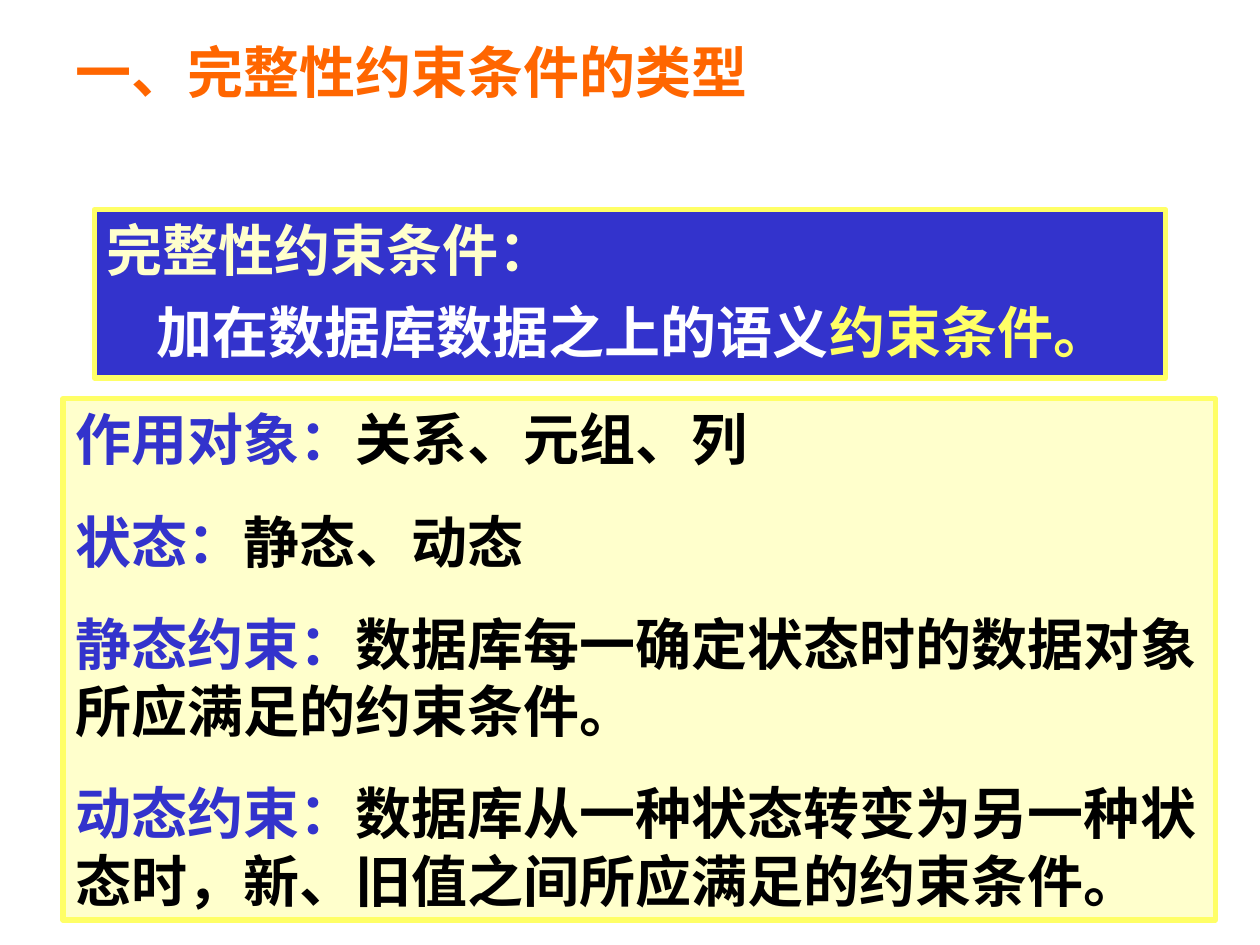
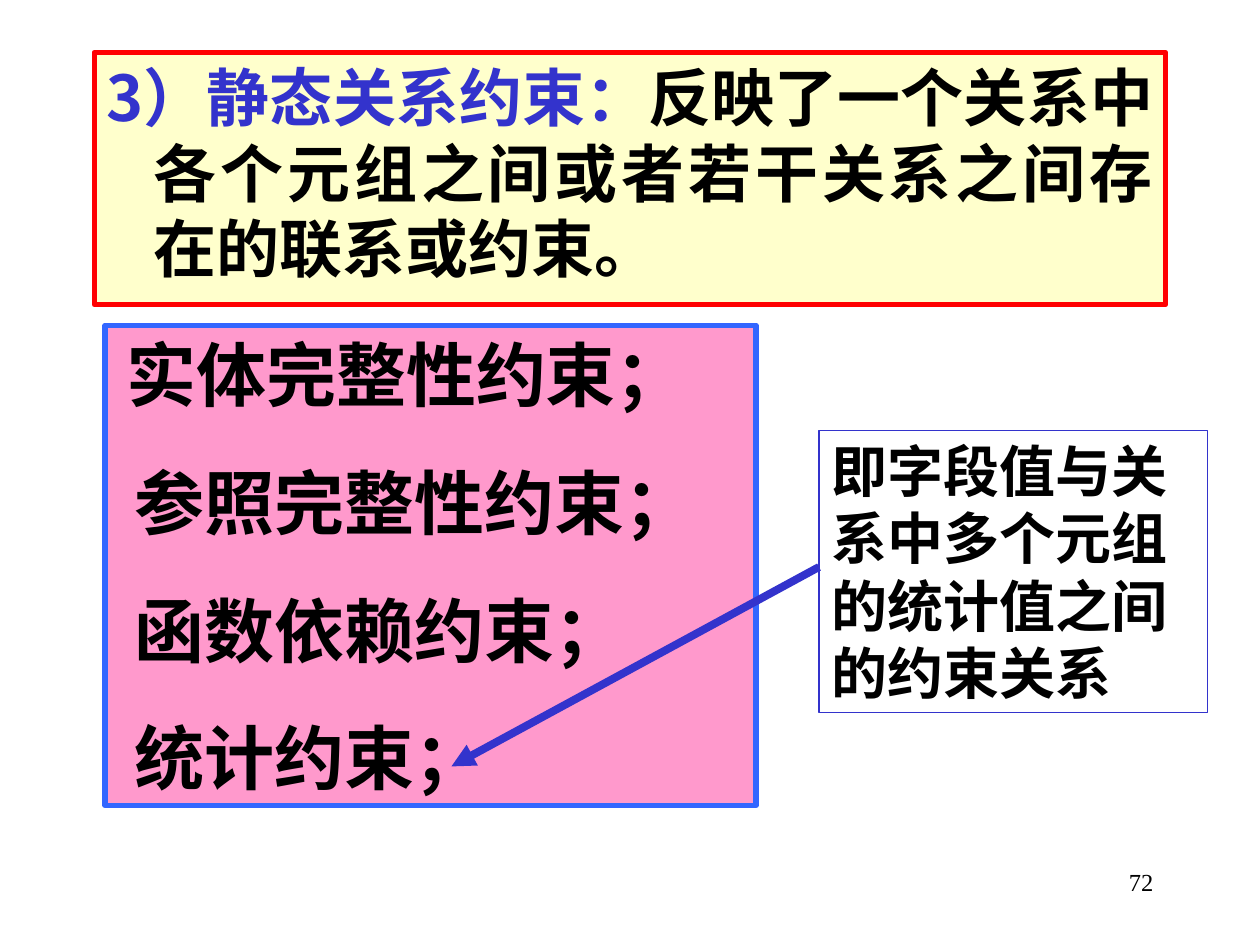
from dataclasses import dataclass
from typing import Optional

from lxml.etree import SubElement
from pptx import Presentation
from pptx.dml.color import RGBColor
from pptx.enum.shapes import MSO_CONNECTOR as CONN, MSO_SHAPE as SHAPE
from pptx.enum.text import MSO_ANCHOR as ANCHOR, PP_ALIGN as ALIGN
from pptx.oxml.ns import qn
from pptx.slide import Slide
from pptx.util import Cm, Pt

BLACK = RGBColor(0x00, 0x00, 0x00)
WHITE = RGBColor(0xFF, 0xFF, 0xFF)
BLUE = RGBColor(0x33, 0x33, 0xCC)
SKY = RGBColor(0x33, 0x66, 0xFF)
CREAM = RGBColor(0xFF, 0xFF, 0xCC)
YELLOW = RGBColor(0xFF, 0xFF, 0x66)
ORANGE = RGBColor(0xFF, 0x66, 0x00)
RED = RGBColor(0xFF, 0x00, 0x00)
PINK = RGBColor(0xFF, 0x99, 0xCC)
SERIF = "Times New Roman"
SANS = "Noto Sans CJK SC"


@dataclass(frozen=True)
class Run:
    """A stretch of text in one colour."""
    text: str
    color: RGBColor = BLACK


@dataclass(frozen=True)
class Para:
    """Runs with a left margin and first-line indent in centimetres."""
    runs: tuple[Run, ...]
    margin: float = 0
    indent: float = 0


@dataclass(frozen=True)
class Box:
    """A text block placed in centimetres."""
    left: float
    top: float
    width: float
    height: float
    paras: tuple[Para, ...]
    size: float = 32
    font: str = SERIF
    bold: bool = True
    gap: float = 0
    align: ALIGN = ALIGN.LEFT
    wrap: bool = True
    fill: Optional[RGBColor] = None
    line: Optional[RGBColor] = None
    weight: float = 3


def term(label: str, text: str) -> tuple[Run, ...]:
    """Return a blue label followed by its black explanation."""
    return Run(label, BLUE), Run(text)


def add_box(s: Slide, box: Box) -> None:
    """Draw a framed rectangle, or a plain text box when it has no frame."""
    place = Cm(box.left), Cm(box.top), Cm(box.width), Cm(box.height)
    if box.line is None:
        sp = s.shapes.add_textbox(*place)
    else:
        sp = s.shapes.add_shape(SHAPE.RECTANGLE, *place)
        sp.shadow.inherit = False
        sp.line.color.rgb = box.line
        sp.line.width = Pt(box.weight)
        if box.fill is None:
            sp.fill.background()
        else:
            sp.fill.solid()
            sp.fill.fore_color.rgb = box.fill
    tf = sp.text_frame
    tf.word_wrap = box.wrap
    tf.vertical_anchor = ANCHOR.TOP
    for i, para in enumerate(box.paras):
        p = tf.add_paragraph() if i else tf.paragraphs[0]
        add_para(p, para, box, box.gap if i else 0)


def add_para(p, para: Para, box: Box, gap: float) -> None:
    """Fill one paragraph with its runs and format."""
    p.alignment = box.align
    p.space_before = Pt(gap)
    pPr = p._p.get_or_add_pPr()
    pPr.set("marL", str(Cm(para.margin)))
    pPr.set("indent", str(Cm(para.indent)))
    p.font.size = Pt(box.size)
    p.font.name = box.font
    p.font.bold = box.bold
    for run in para.runs:
        r = p.add_run()
        r.text = run.text
        r.font.color.rgb = run.color


def add_arrow(s: Slide, x1: float, y1: float, x2: float, y2: float) -> None:
    """Draw a thick blue arrow between two points in centimetres."""
    c = s.shapes.add_connector(CONN.STRAIGHT, Cm(x1), Cm(y1), Cm(x2), Cm(y2))
    c.line.color.rgb = BLUE
    c.line.width = Pt(4.5)
    SubElement(c.line._get_or_add_ln(), qn("a:tailEnd"), type="triangle")
    SubElement(c._element.spPr, qn("a:effectLst"))


TYPES = (
    Box(1.27, 8.04, 23.23, 10.51, (
        Para(term("作用对象：", "关系、元组、列")),
        Para(term("状态：", "静态、动态")),
        Para(term("静态约束：", "数据库每一确定状态时的数据对象所应满足的约束条件。")),
        Para(term("动态约束：", "数据库从一种状态转变为另一种状态时，新、旧值之间所应满足的约束条件。")),
    ), gap=20, fill=CREAM, line=YELLOW),
    Box(1.27, 0.64, 14.4, 3.18, (Para((Run("一、完整性约束条件的类型", ORANGE),)),),
        font=SANS, wrap=False),
    Box(1.9, 4.23, 21.6, 3.39, (
        Para((Run("完整性约束条件：", CREAM),)),
        Para((Run("加在数据库数据之上的语义", WHITE), Run("约束条件。", YELLOW)), margin=1),
    ), gap=8, fill=BLUE, line=YELLOW),
)

CONSTRAINTS = ("实体完整性约束；", "参照完整性约束；", "函数依赖约束；", "统计约束；")

STATIC_RELATION = (
    Box(18.2, 17.35, 5.3, 1.27, (Para((Run("72"),)),), size=14, bold=False,
        align=ALIGN.RIGHT),
    Box(1.9, 1.06, 21.6, 5.08, (
        Para(term("3）静态关系约束：", "反映了一个关系中各个元组之间或者若干关系之间存在的联系或约束。"),
             margin=0.95, indent=-0.95),
    ), size=36, font=SANS, align=ALIGN.JUSTIFY, fill=CREAM, line=RED),
    Box(2.12, 6.56, 13.12, 9.68, tuple(
        Para((Run(name),), margin=0.35 if i else 0.18)
        for i, name in enumerate(CONSTRAINTS)
    ), size=40, gap=25, align=ALIGN.JUSTIFY, fill=PINK, line=SKY),
    Box(16.51, 8.68, 7.83, 5.69,
        (Para((Run("即字段值与关系中多个元组的统计值之间的约束关系"),)),),
        line=BLUE, weight=0.75),
)


def main() -> None:
    """Build both slides and save them."""
    prs = Presentation()
    prs.slide_width, prs.slide_height = Cm(25.4), Cm(19.05)
    for boxes in (TYPES, STATIC_RELATION):
        s = prs.slides.add_slide(prs.slide_layouts[6])
        for box in boxes:
            add_box(s, box)
    add_arrow(s, 16.51, 11.43, 9.1, 15.45)
    prs.save("out.pptx")


if __name__ == "__main__":
    main()
